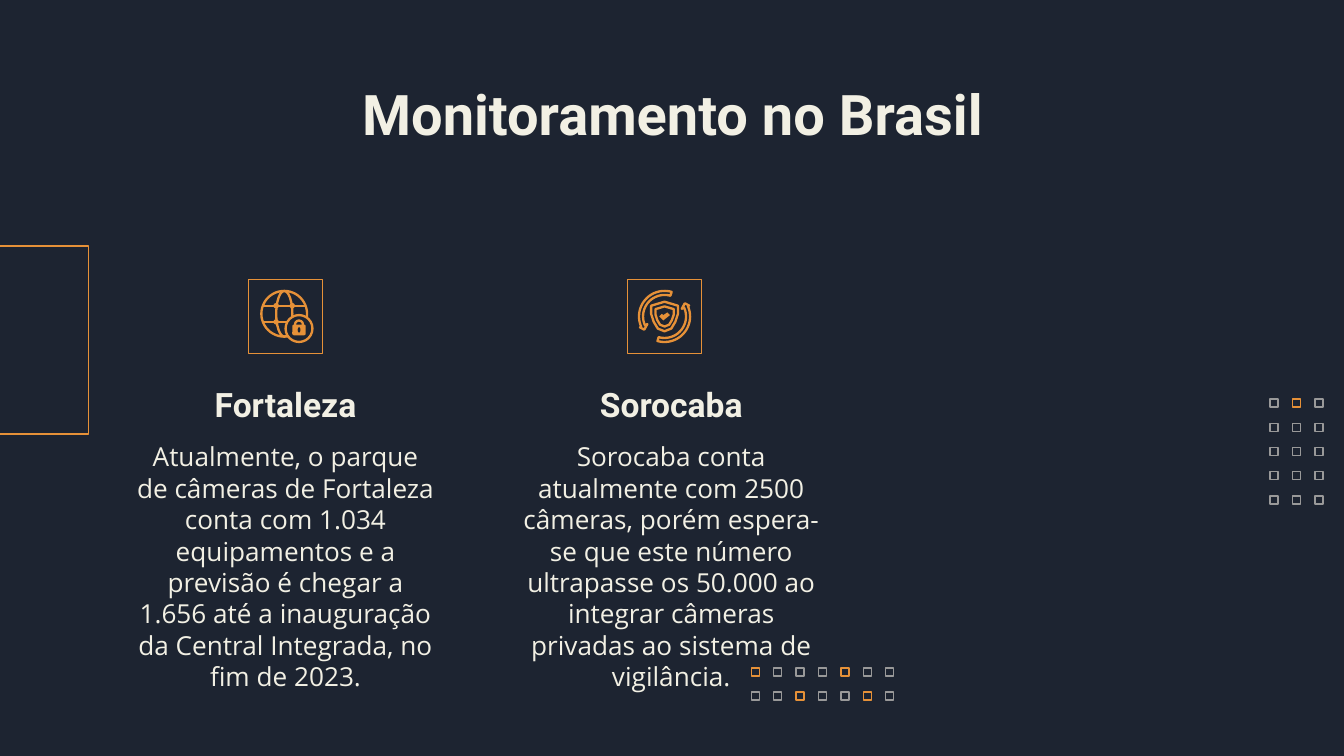
from math import cos, radians, sin

from lxml.etree import SubElement
from pptx import Presentation
from pptx.dml.color import RGBColor
from pptx.enum.shapes import MSO_CONNECTOR as Link, MSO_SHAPE as Kind
from pptx.enum.text import MSO_ANCHOR as Anchor, MSO_AUTO_SIZE as Fit, PP_ALIGN as Align
from pptx.oxml.ns import qn
from pptx.util import Inches, Pt

TITLE = "Monitoramento no Brasil"
CITIES = [
    {"name": "Fortaleza", "left": 0.9, "icon": 1.85,
     "text": "Atualmente, o parque de câmeras de Fortaleza conta com 1.034 "
             "equipamentos e a previsão é chegar a 1.656 até a inauguração "
             "da Central Integrada, no fim de 2023."},
    {"name": "Sorocaba", "left": 3.77, "icon": 4.67,
     "text": "Sorocaba conta atualmente com 2500 câmeras, porém espera-se que "
             "este número ultrapasse os 50.000 ao integrar câmeras privadas ao "
             "sistema de vigilância."},
]
# Dot grids: left, top, columns, rows, and the (column, row) of orange dots
GRIDS = [
    (5.59, 4.97, 7, 2, {(0, 0), (4, 0), (2, 1), (5, 1)}),
    (9.45, 2.97, 3, 5, {(1, 0)}),
]
WIDE = 10
HIGH = WIDE * 9 / 16
DOT, STEP_X, STEP_Y = 0.06, 1 / 6, 0.18
COL_W, ICON_TOP, ICON = 2.45, 2.08, 0.55
THIN, BOLD = 0.75, 1.25
HEX = {"back": "1D2431", "text": "F2F0E4", "orange": "E69138", "gray": "999999"}
RGB = {name: RGBColor.from_string(code) for name, code in HEX.items()}

# Icon outlines as offsets from the icon's centre
HALF = [(0.1, -0.08), (0.1, -0.02), (0.08, 0.04), (0.05, 0.09)]
SHIELD = [(0, -0.11), *HALF, (0, 0.11), *[(-x, y) for x, y in HALF[::-1]]]
CHECK = [(0.02, -0.03), (-0.01, -0.01), (-0.02, -0.02), (-0.04, 0),
         (-0.01, 0.03), (0.04, -0.01)]


def style(shape, fill=None, line=None, width=THIN):
    shape.shadow.inherit = False
    if fill:
        shape.fill.solid()
        shape.fill.fore_color.rgb = RGB[fill]
    else:
        shape.fill.background()
    if line:
        shape.line.color.rgb = RGB[line]
        shape.line.width = Pt(width)
    else:
        shape.line.fill.background()


def put(home, kind, x, y, w, h, **look):
    shape = home.add_shape(kind, Inches(x), Inches(y), Inches(w), Inches(h))
    style(shape, **look)


def disc(home, x, y, rx, ry=None, **look):
    """Draw an oval around a centre."""
    ry = ry or rx
    put(home, Kind.OVAL, x - rx, y - ry, 2 * rx, 2 * ry, **look)


def bar(home, x1, y1, x2, y2):
    line = home.add_connector(Link.STRAIGHT, Inches(x1), Inches(y1),
                              Inches(x2), Inches(y2))
    line.line.color.rgb = RGB["orange"]
    line.line.width = Pt(BOLD)
    SubElement(line._element.spPr, qn("a:effectLst"))


def outline(home, x, y, points, **look):
    spots = [(Inches(x + dx), Inches(y + dy)) for dx, dy in points]
    path = home.build_freeform(*spots[0])
    path.add_line_segments(spots[1:], close=True)
    style(path.convert_to_shape(), **look)


def write(holder, text, box, size, font, bold=False, anchor=Anchor.TOP):
    holder.left, holder.top, holder.width, holder.height = map(Inches, box)
    frame = holder.text_frame
    frame.text = text
    frame.word_wrap, frame.auto_size = True, Fit.NONE
    frame.vertical_anchor = anchor
    frame.margin_left = frame.margin_right = Inches(0.1)
    frame.margin_top = frame.margin_bottom = Inches(0.1)
    para = frame.paragraphs[0]
    props = para._p.get_or_add_pPr()
    props.set("marL", "0")
    props.set("indent", "0")
    SubElement(props, qn("a:buNone"))
    para.alignment, para.line_spacing, para.space_before = Align.CENTER, 1.0, Pt(0)
    para.font.size, para.font.name, para.font.bold = Pt(size), font, bold
    para.font.color.rgb = RGB["text"]


def globe(home, x, y):
    x, y = x - 0.01, y - 0.02
    ring = {"line": "orange", "width": BOLD}
    disc(home, x, y, 0.17, **ring)
    disc(home, x, y, 0.06, 0.17, **ring)
    for dy in (-0.06, 0.06):
        bar(home, x - 0.16, y + dy, x + 0.16, y + dy)
        for dx in (-0.06, 0.06):
            disc(home, x + dx, y + dy, 0.02, fill="orange")
    x, y = x + 0.11, y + 0.11
    disc(home, x, y, 0.1, fill="back", **ring)
    disc(home, x, y - 0.03, 0.03, **ring)
    put(home, Kind.ROUNDED_RECTANGLE, x - 0.05, y - 0.03, 0.1, 0.08, fill="orange")
    disc(home, x, y + 0.01, 0.01, 0.02, fill="back")


def shield(home, x, y):
    ring = {"line": "orange", "width": BOLD}
    outline(home, x, y, SHIELD, **ring)
    outline(home, x, y, [(0.68 * dx, 0.68 * dy) for dx, dy in SHIELD], **ring)
    outline(home, x, y, CHECK, fill="orange")
    sweep = range(156, 287, 5)
    polar = [(0.19, a) for a in reversed(sweep)]
    polar += [(0.2, 156), (0.18, 147), (0.14, 156)]
    polar += [(0.16, a) for a in sweep]
    for turn in (0, 180):
        arrow = [(r * cos(radians(a + turn)), r * sin(radians(a + turn)))
                 for r, a in polar]
        outline(home, x, y, arrow, **ring)


def main():
    deck = Presentation()
    deck.slide_width, deck.slide_height = Inches(WIDE), Inches(HIGH)
    slide = deck.slides.add_slide(deck.slide_layouts.get_by_name("Comparison"))
    slide.background.fill.solid()
    slide.background.fill.fore_color.rgb = RGB["back"]
    shapes = slide.shapes

    put(shapes, Kind.RECTANGLE, -0.74, 1.83, 1.4, 1.4, line="orange")
    for left, top, cols, rows, lit in GRIDS:
        group = shapes.add_group_shape().shapes
        for row in range(rows):
            for col in range(cols):
                put(group, Kind.RECTANGLE, left + col * STEP_X, top + row * STEP_Y,
                    DOT, DOT, line="orange" if (col, row) in lit else "gray")

    title, *rest = slide.placeholders
    write(title, TITLE, (0.79, 0.49, 8.43, 0.63), 30, "Roboto", bold=True)
    pairs = zip(rest[::2], rest[1::2])
    for city, (head, body), draw in zip(CITIES, pairs, (globe, shield)):
        left, icon = city["left"], city["icon"]
        write(head, city["name"], (left, 2.68, COL_W, 0.58), 18, "Roboto",
              bold=True, anchor=Anchor.BOTTOM)
        write(body, city["text"], (left, 3.18, COL_W, 0.95), 14, "Open Sans")
        put(shapes, Kind.RECTANGLE, icon, ICON_TOP, ICON, ICON, line="orange")
        draw(shapes.add_group_shape().shapes, icon + ICON / 2, ICON_TOP + ICON / 2)

    deck.save("out.pptx")


if __name__ == "__main__":
    main()
